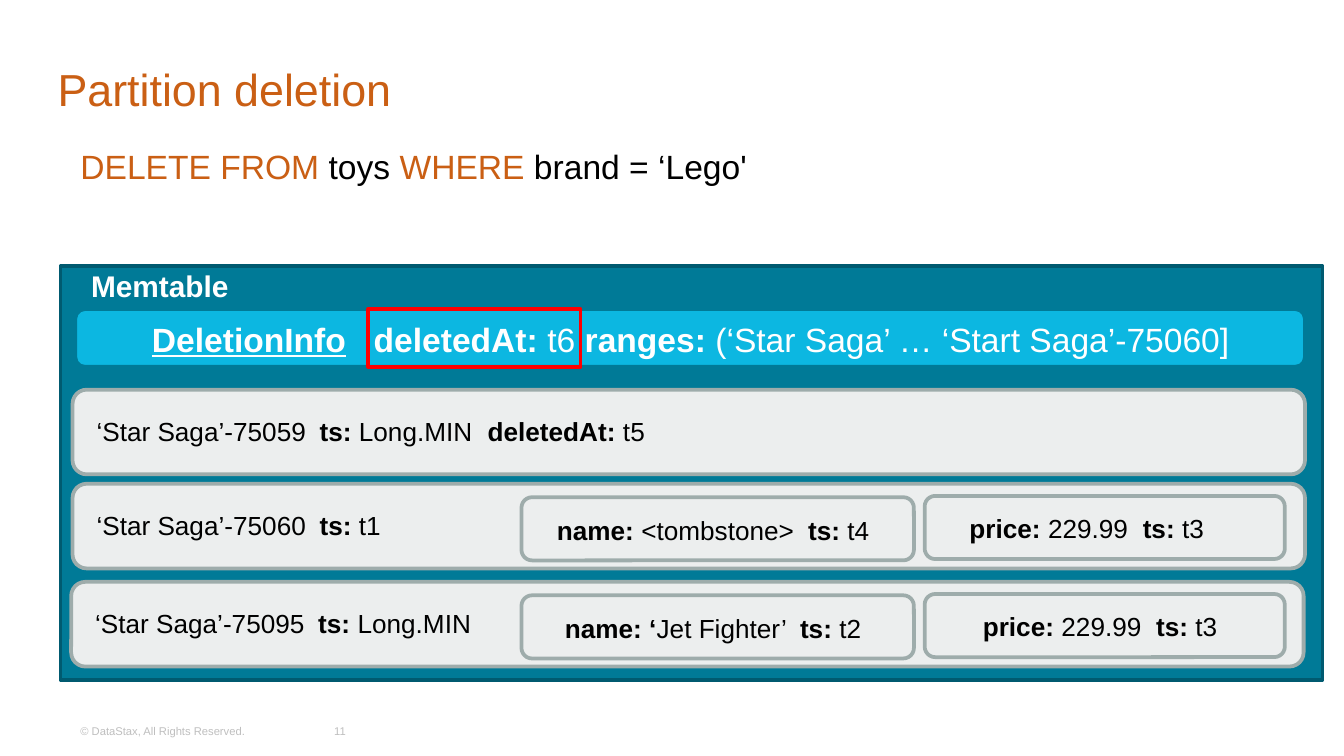
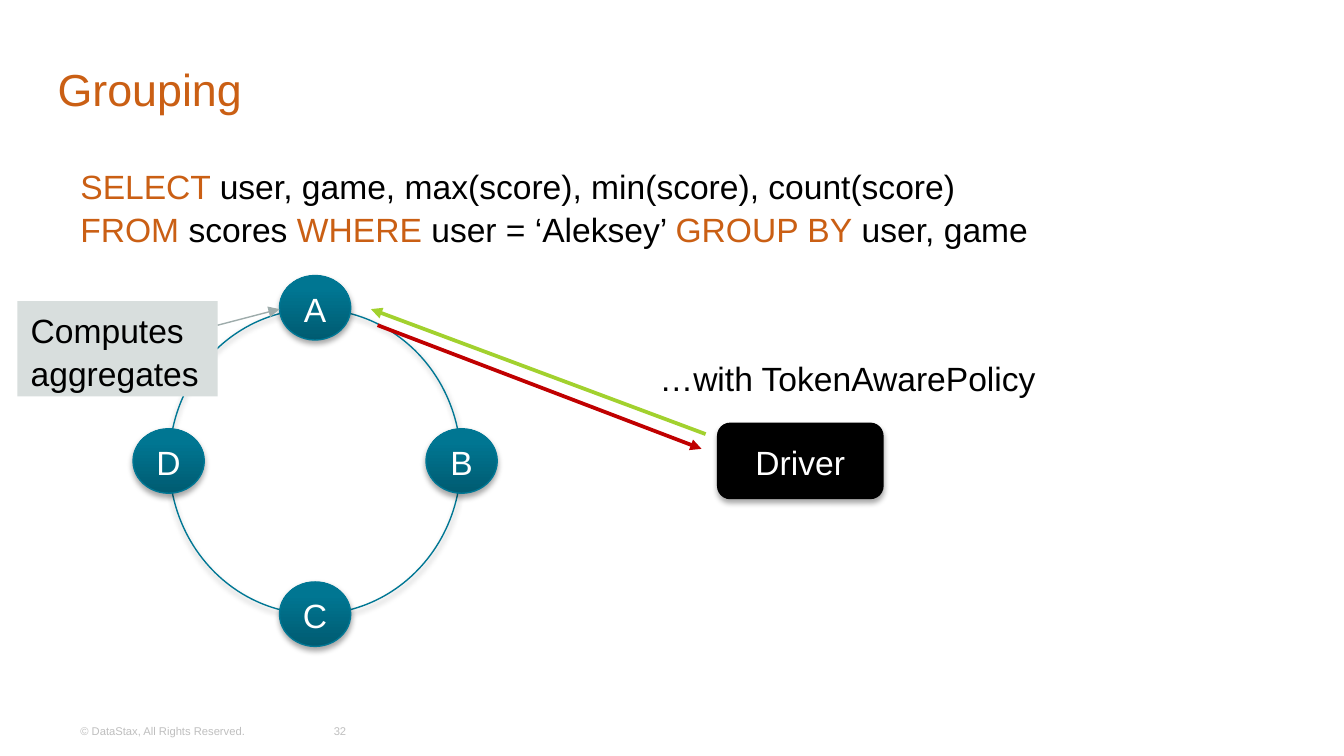
"""Builds two slides on partition deletion and on grouping."""
from lxml.etree import SubElement
from pptx import Presentation
from pptx.dml.color import RGBColor
from pptx.enum.shapes import MSO_CONNECTOR, MSO_SHAPE
from pptx.enum.text import MSO_ANCHOR, PP_ALIGN
from pptx.oxml.ns import qn
from pptx.util import Inches, Pt

COLORS = {
    "orange": "CA5F14", "footer": "BFBFBF", "black": "000000", "white": "FFFFFF",
    "teal": "007A97", "deep": "005A70", "sky": "0CB7E1", "pale": "ECEEEE",
    "edge": "9EACAB", "red": "FF0000", "crimson": "C00000", "green": "A2D12E",
    "label": "D8DEDD", "ring": "007794", "node dark": "005B71", "node light": "007692",
}
WIDTH, HEIGHT = Inches(10), Inches(5.625)
COLUMNS, ROWS = 100, 56.25
BOLD = {"bold": True}
KEYWORD = {"color": "orange"}


def apply(target, values):
    for name, value in values.items():
        setattr(target, name, value)


class Deck:
    """Holds the shared style and the slide being filled."""

    def __init__(self):
        self.presentation = Presentation()
        apply(self.presentation, {"slide_width": WIDTH, "slide_height": HEIGHT})
        self.slide = None

    def color(self, name):
        return RGBColor.from_string(COLORS[name])

    def x(self, columns):
        return round(WIDTH * columns / COLUMNS)

    def y(self, rows):
        return round(HEIGHT * rows / ROWS)

    def area(self, left, top, width, height):
        return self.x(left), self.y(top), self.x(width), self.y(height)

    def start(self, title, number):
        self.slide = self.presentation.slides.add_slide(self.presentation.slide_layouts[6])
        middle = MSO_ANCHOR.MIDDLE
        self.text((3.3, 3.2, 58.3, 6.6), title, 24, "orange", anchor=middle)
        self.text((5, 52.9, 17.4, 3), "© DataStax, All Rights Reserved.", 6, "footer", anchor=middle)
        self.text((23.1, 52.9, 4.4, 3), number, 6, "footer", anchor=middle,
                  align=PP_ALIGN.CENTER, inset=0)

    def text(self, area, content, size, color="black", **options):
        box = self.slide.shapes.add_textbox(*self.area(*area))
        self.typeset(box.text_frame, content, size, color, **options)

    def typeset(self, frame, content, size, color, accent=BOLD, anchor=MSO_ANCHOR.TOP,
                align=PP_ALIGN.LEFT, inset=1, tabs=()):
        apply(frame, {"word_wrap": True, "vertical_anchor": anchor, "margin_right": 0,
                      "margin_left": self.x(inset)})
        for index, line in enumerate(content.split("\n")):
            paragraph = frame.add_paragraph() if index else frame.paragraphs[0]
            apply(paragraph, {"alignment": align, "line_spacing": 1.06})
            if tabs:
                stops = SubElement(paragraph._p.get_or_add_pPr(), qn("a:tabLst"))
                for stop in tabs:
                    SubElement(stops, qn("a:tab"), pos=str(self.x(stop)), algn="l")
            for turn, part in enumerate(line.split("|")):
                if not part:
                    continue
                run = paragraph.add_run()
                run.text = part
                style = {"name": "Arial", "size": Pt(size), "bold": False, "color": color}
                style.update(accent if turn % 2 else {})
                run.font.color.rgb = self.color(style.pop("color"))
                apply(run.font, style)

    def shape(self, kind, area, fill=None, line=None, weight=2, shadow=False):
        shape = self.slide.shapes.add_shape(kind, *self.area(*area))
        shape.shadow.inherit = False
        if fill == "node":
            shape.fill.gradient()
            shape.fill.gradient_angle = 90
            for stop, name, position in zip(shape.fill.gradient_stops,
                                            ("node dark", "node light"), (0, 0.8)):
                stop.color.rgb = self.color(name)
                stop.position = position
        elif fill:
            shape.fill.solid()
            shape.fill.fore_color.rgb = self.color(fill)
        else:
            shape.fill.background()
        if line:
            shape.line.color.rgb = self.color(line)
            shape.line.width = Pt(weight)
        else:
            shape.line.fill.background()
        if shadow:
            effects = shape._element.spPr.find(qn("a:effectLst"))
            outer = SubElement(effects, qn("a:outerShdw"), blurRad=str(Pt(3.1)),
                               dist=str(Pt(1.8)), dir="5400000", rotWithShape="0")
            tint = SubElement(outer, qn("a:srgbClr"), val=COLORS["black"])
            SubElement(tint, qn("a:alpha"), val="35000")
        return shape.text_frame

    def arrow(self, begin, end, color, weight=2):
        ends = [self.x(begin[0]), self.y(begin[1]), self.x(end[0]), self.y(end[1])]
        arrow = self.slide.shapes.add_connector(MSO_CONNECTOR.STRAIGHT, *ends)
        arrow.line.color.rgb = self.color(color)
        arrow.line.width = Pt(weight)
        SubElement(arrow._element.spPr.find(qn("a:ln")), qn("a:tailEnd"), type="triangle")
        SubElement(arrow._element.spPr, qn("a:effectLst"))


def partition_deletion(deck):
    deck.start("Partition deletion", "11")
    deck.text((5, 10.2, 95, 4), "|DELETE FROM |toys |WHERE| brand = ‘Lego'", 18, accent=KEYWORD)
    deck.shape(MSO_SHAPE.RECTANGLE, (4.5, 19.8, 93.9, 30.8), "teal", "deep")
    deck.text((5.8, 19.3, 26.7, 3.7), "|Memtable", 16, "white")

    memtable_rows = [
        (5.4, 29, "‘Star Saga’-75059\t|ts: |Long.MIN\t|deletedAt:| t5", []),
        (5.4, 36, "‘Star Saga’-75060\t|ts: |t1",
         [("|name: |<tombstone>\t|ts:| t4", 2.4, 18.7),
          ("|price: |229.99\t|ts:| t3", 3.1, 12.9)]),
        (5.3, 43.3, "‘Star Saga’-75095\t|ts: |Long.MIN",
         [("|name: ‘|Jet Fighter’\t|ts:| t2", 3, 17.5),
          ("|price: |229.99\t|ts:| t3", 4.1, 12.9)]),
    ]
    cell_places = [(38.8, 1, 29.2), (68.8, 0.9, 26.8)]
    for left, top, key, cells in memtable_rows:
        deck.shape(MSO_SHAPE.ROUNDED_RECTANGLE, (left, top, 91.7, 6.3), "pale", "edge")
        deck.text((left + 0.8, top + 1.3, 68.3, 3.4), key, 14, tabs=(16.6, 29.1))
        for (column, drop, width), (value, inset, stamp) in zip(cell_places, cells):
            cell = deck.shape(MSO_SHAPE.ROUNDED_RECTANGLE, (column, top + drop, width, 4.7),
                              "pale", "edge")
            deck.typeset(cell, value, 14, "black", anchor=MSO_ANCHOR.MIDDLE, inset=inset,
                         tabs=(stamp,))

    deletion_info = deck.shape(MSO_SHAPE.ROUNDED_RECTANGLE, (5.6, 23, 91.5, 4.3), "sky", "teal")
    deck.typeset(deletion_info,
                 "|DeletionInfo|\t|deletedAt: |t6 |ranges: |(‘Star Saga’ … ‘Start Saga’-75060]",
                 18, "white", anchor=MSO_ANCHOR.MIDDLE, inset=5.5, tabs=(16.5,))
    deletion_info.paragraphs[0].runs[0].font.underline = True
    deck.shape(MSO_SHAPE.RECTANGLE, (27.4, 23, 15.8, 4.3), line="red")


def grouping(deck):
    deck.start("Grouping", "32")
    deck.text((5, 11.7, 95, 7.1),
              "|SELECT |user, game, max(score), min(score), count(score)\n"
              "|FROM |scores |WHERE |user = ‘Aleksey’ |GROUP BY| user, game",
              18, accent=KEYWORD)
    centered = {"anchor": MSO_ANCHOR.MIDDLE, "align": PP_ALIGN.CENTER, "inset": 0}
    thin = {"weight": 0.75, "shadow": True}
    deck.shape(MSO_SHAPE.OVAL, (12.6, 23, 21.7, 22.7), line="ring", **thin)
    for name, across, down in [("A", 0, -1), ("C", 0, 1), ("D", -1, 0), ("B", 1, 0)]:
        place = (20.8 + 10.9 * across, 31.9 + 11.4 * down, 5.3, 4.8)
        node = deck.shape(MSO_SHAPE.OVAL, place, "node", "ring", **thin)
        deck.typeset(node, name, 18, "white", **centered)
    driver = deck.shape(MSO_SHAPE.ROUNDED_RECTANGLE, (53.4, 31.5, 12.3, 5.6), "black", "black", **thin)
    deck.typeset(driver, "Driver", 18, "white", **centered)
    coordinator_role = deck.shape(MSO_SHAPE.RECTANGLE, (1.3, 22.4, 14.9, 7.1), "label")
    deck.typeset(coordinator_role, "Computes aggregates", 18, "black")
    deck.arrow((52.5, 32.3), (27.6, 23), "green")
    deck.arrow((28.1, 24.2), (52.2, 33.4), "crimson")
    deck.arrow((16.2, 24.2), (20.8, 23), "edge", 0.75)
    deck.text((48.1, 26, 31.8, 4), "…with TokenAwarePolicy", 18)


def main():
    deck = Deck()
    partition_deletion(deck)
    grouping(deck)
    deck.presentation.save("out.pptx")


if __name__ == "__main__":
    main()
